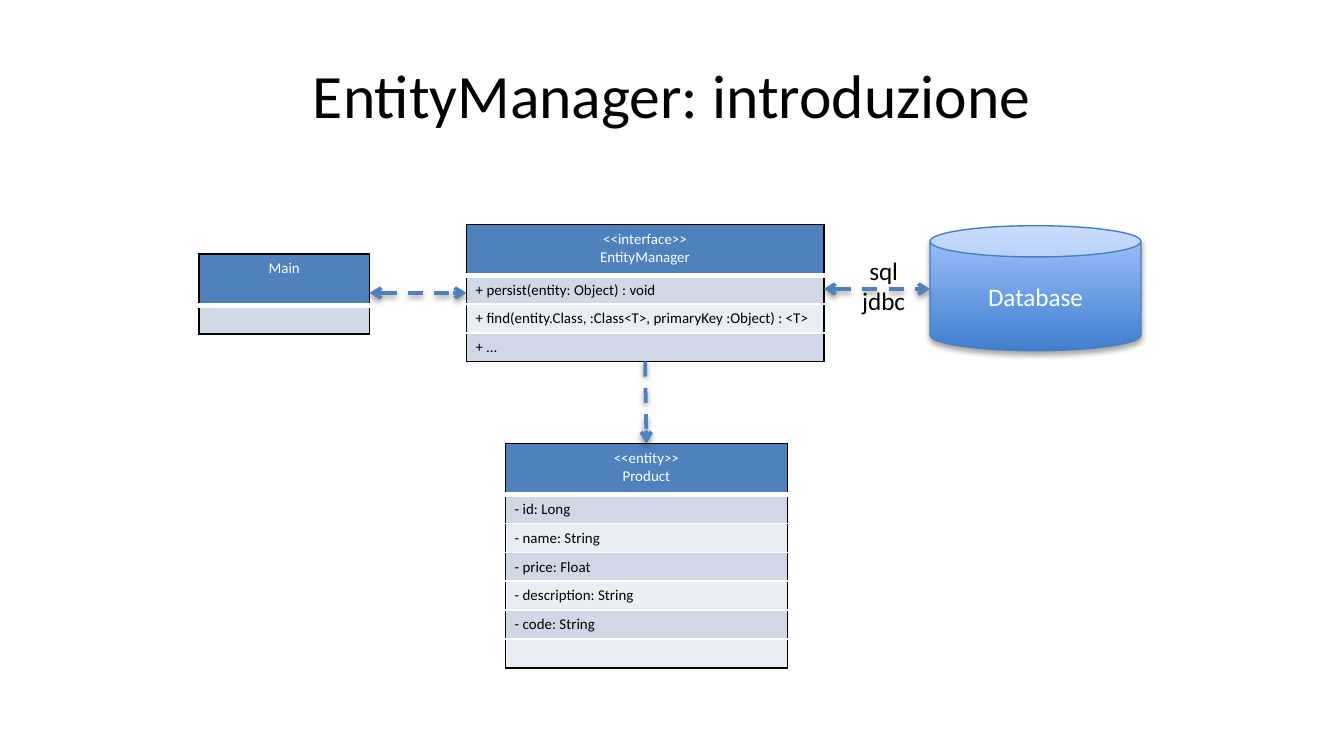
import pptx
import pptx.dml.color
import pptx.enum.dml
import pptx.enum.shapes
import pptx.enum.text
import pptx.oxml
import pptx.oxml.ns
import pptx.util
import lxml.etree

Inches = pptx.util.Inches
Pt = pptx.util.Pt
RGB = pptx.dml.color.RGBColor.from_string
ALIGN = pptx.enum.text.PP_ALIGN
MIDDLE = pptx.enum.text.MSO_ANCHOR.MIDDLE
NS = pptx.oxml.ns.nsdecls("a")
qn = pptx.oxml.ns.qn

COLORS = {
    "black": "000000", "white": "FFFFFF", "header": "4F81BD",
    "band_dark": "D0D8E8", "band_light": "E9EDF4",
    "can_bottom": "3F80CE", "can_top": "A4C4FF", "can_line": "4B7EBC",
}


def write_text(frame, text, size, color, align=ALIGN.CENTER):
    frame.text = text
    for para in frame.paragraphs:
        para.alignment = align
        for span in para.runs:
            span.font.size = Pt(size)
            span.font.name = "Calibri"
            span.font.color.rgb = RGB(COLORS[color])
        if not para.runs:
            # An empty line keeps the small size so that its row stays low
            end = lxml.etree.SubElement(para._p, qn("a:endParaRPr"))
            end.set("sz", str(size * 100))


def add_shadow(shape, opacity, distance):
    properties = shape._element.spPr
    for old in properties.findall(qn("a:effectLst")):
        properties.remove(old)
    properties.append(pptx.oxml.parse_xml(
        f'<a:effectLst {NS}><a:outerShdw blurRad="{Pt(3.1)}" dist="{Pt(distance)}" '
        f'dir="5400000" rotWithShape="0"><a:srgbClr val="{COLORS["black"]}">'
        f'<a:alpha val="{opacity * 1000}"/></a:srgbClr></a:outerShdw></a:effectLst>'))


# Widescreen page, 16:9
deck = pptx.Presentation()
deck.slide_width = Inches(10)
deck.slide_height = Inches(10 * 9 / 16)
page = deck.slides.add_slide(deck.slide_layouts[6])

# Title
title = page.shapes.add_textbox(Inches(0.5), Inches(0.23), Inches(9), Inches(0.94))
title.text_frame.word_wrap = True
title.text_frame.vertical_anchor = MIDDLE
write_text(title.text_frame, "EntityManager: introduzione", 33, "black")

# Class boxes: left, top, width, height, rows
HEADER_HEIGHT = 0.38
classes = [
    (3.76, 3.3, 2.1, 1.67, ["<<entity>>\nProduct", "- id: Long", "- name: String",
                            "- price: Float", "- description: String",
                            "- code: String", ""]),
    (1.48, 1.89, 1.27, 0.59, ["Main", ""]),
    (3.47, 1.67, 2.66, 1.02, ["<<interface>>\nEntityManager",
                              "+ persist(entity: Object) : void",
                              "+ find(entity.Class, :Class<T>, primaryKey :Object) : <T>",
                              "+ …"]),
]
for left, top, width, height, rows in classes:
    table = page.shapes.add_table(len(rows), 1, Inches(left), Inches(top),
                                  Inches(width), Inches(height)).table
    table.first_row = False
    table.horz_banding = False
    last = len(rows) - 1
    for index, text in enumerate(rows):
        is_header = index == 0
        row_height = HEADER_HEIGHT if is_header else (height - HEADER_HEIGHT) / last
        table.rows[index].height = Inches(row_height)
        cell = table.cell(index, 0)
        cell.margin_left = cell.margin_right = Inches(0.07)
        cell.margin_top = cell.margin_bottom = Inches(0.04)

        # Black outline, white rules between rows
        borders = [
            ("lnL", "black", 1), ("lnR", "black", 1),
            ("lnT", "black" if is_header else "white", 1),
            ("lnB", "black" if index == last else "white", 3 if is_header else 1),
        ]
        for tag, color, weight in borders:
            cell._tc.get_or_add_tcPr().append(pptx.oxml.parse_xml(
                f'<a:{tag} {NS} w="{Pt(weight)}"><a:solidFill>'
                f'<a:srgbClr val="{COLORS[color]}"/></a:solidFill></a:{tag}>'))

        band = "header" if is_header else ("band_light", "band_dark")[index % 2]
        cell.fill.solid()
        cell.fill.fore_color.rgb = RGB(COLORS[band])
        write_text(cell.text_frame, text, 8, "white" if is_header else "black",
                   ALIGN.CENTER if is_header else ALIGN.LEFT)

# Database
database = page.shapes.add_shape(pptx.enum.shapes.MSO_SHAPE.CAN, Inches(6.92),
                                 Inches(1.68), Inches(1.57), Inches(0.93))
database.fill.gradient()
database.fill.gradient_angle = 90
for stop, position, color in zip(database.fill.gradient_stops, (0, 1),
                                 ("can_bottom", "can_top")):
    stop.position = position
    stop.color.rgb = RGB(COLORS[color])
database.line.color.rgb = RGB(COLORS["can_line"])
database.line.width = Pt(0.75)
add_shadow(database, 35, 1.8)
database.text_frame.vertical_anchor = MIDDLE
write_text(database.text_frame, "Database", 13.5, "white")

# Dashed arrows: start, end, arrowheads
arrows = [
    ((6.13, 2.15), (6.92, 2.15), ("headEnd", "tailEnd")),
    ((4.8, 2.69), (4.81, 3.3), ("tailEnd",)),
    ((2.75, 2.18), (3.47, 2.18), ("headEnd", "tailEnd")),
]
for start, end, heads in arrows:
    arrow = page.shapes.add_connector(pptx.enum.shapes.MSO_CONNECTOR.STRAIGHT,
                                      *map(Inches, start + end))
    arrow.line.color.rgb = RGB(COLORS["header"])
    arrow.line.width = Pt(2)
    arrow.line.dash_style = pptx.enum.dml.MSO_LINE.DASH
    for head in heads:
        lxml.etree.SubElement(arrow.line._get_or_add_ln(), qn(f"a:{head}")).set("type", "arrow")
    add_shadow(arrow, 38, 1.6)

# Protocol label on the database arrow
label = page.shapes.add_textbox(Inches(6.31), Inches(1.85), Inches(0.53), Inches(0.56))
label.text_frame.word_wrap = False
write_text(label.text_frame, "sql\njdbc", 13.5, "black")

deck.save("out.pptx")
